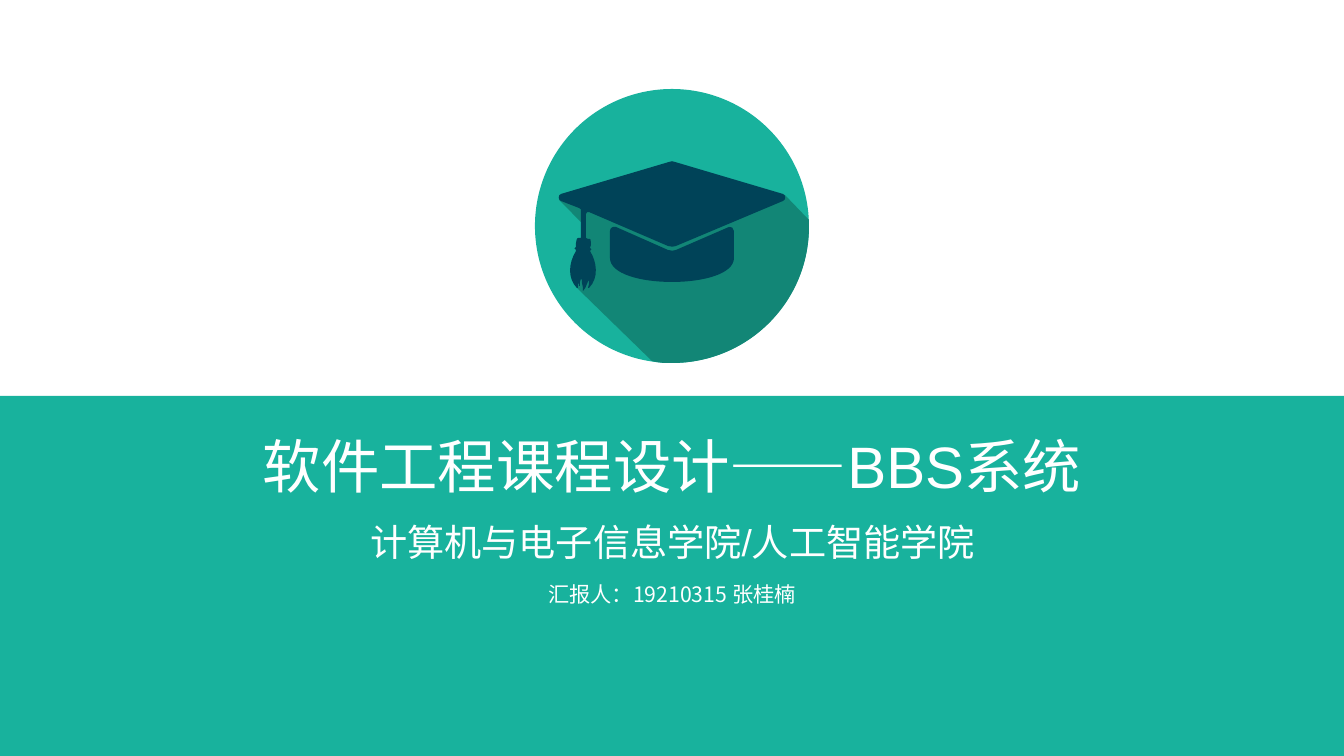
import pptx
import pptx.dml.color
import pptx.enum.shapes
import pptx.enum.text
import pptx.oxml.ns
import pptx.util
from lxml import etree

SCALE = 914400 / 95.6
TEAL, SHADE, NAVY, WHITE = "18B29D", "128676", "004358", "FFFFFF"
CJK_FONT = "Noto Sans CJK SC"

LONG_SHADOW = [
    (809, 227), (809, 302, 748, 363, 672, 363), (664, 363, 659, 363, 652, 361),
    (576, 287), (576, 280), (582, 257), (576, 250), (582, 247), (583, 224),
    (559, 200), (785, 195), (809, 220),
]
CAP_BASE = [
    (610, 231), (610, 258), (610, 290, 734, 290, 734, 258),
    (734, 231), (734, 228, 731, 226, 729, 227),
    (676, 250), (674, 251, 671, 251, 668, 250),
    (616, 227), (613, 226, 610, 228, 610, 231),
]
BOARD_AND_TASSEL = [
    (586, 214), (586, 238), (588, 239),
    (591, 238, 591, 241, 591, 243), (591, 244, 591, 247, 590, 248),
    (592, 249, 592, 250, 590, 251), (597, 262, 599, 278, 589, 288),
    (588, 288), (589, 284), (589, 279, 589, 279, 587, 284),
    (586, 287, 585, 289, 583, 291), (583, 288, 583, 286, 582, 283),
    (582, 278, 581, 277, 580, 282), (580, 286), (579, 286), (579, 283),
    (578, 284), (578, 288), (577, 288), (568, 279, 568, 264, 576, 251),
    (576, 250), (574, 249, 574, 248, 576, 247), (576, 243),
    (576, 241, 577, 237, 579, 238), (581, 238), (581, 211),
    (581, 210, 581, 208, 579, 208), (561, 201),
    (558, 200, 558, 195, 561, 194), (669, 162),
    (671, 161, 673, 161, 675, 162), (783, 194),
    (786, 195, 786, 200, 783, 201), (676, 246),
    (674, 247, 671, 247, 668, 246), (589, 212),
    (588, 211, 586, 213, 586, 214),
]


def px(length):
    return pptx.util.Emu(round(length * SCALE))


def color(hex_string):
    return pptx.dml.color.RGBColor.from_string(hex_string)


def paint(shape, fill):
    shape.shadow.inherit = False
    shape.fill.solid()
    shape.fill.fore_color.rgb = color(fill)
    shape.line.fill.background()


def add_preset(shapes, kind, left, top, width, height, fill):
    shape = shapes.add_shape(kind, px(left), px(top), px(width), px(height))
    paint(shape, fill)


def outline_points(segments):
    return [
        (px(segment[i]), px(segment[i + 1]))
        for segment in segments
        for i in range(0, len(segment), 2)
    ]


def bend_curves(shape, contours):
    lines = iter(list(shape._element.iter(pptx.oxml.ns.qn("a:lnTo"))))
    for contour in contours:
        for segment in contour[1:]:
            line = next(lines)
            if len(segment) == 2:
                continue
            curve = etree.Element(pptx.oxml.ns.qn("a:cubicBezTo"))
            line.addprevious(curve)
            for control in (line, next(lines), next(lines)):
                curve.append(control[0])
                control.getparent().remove(control)


def add_outline(shapes, contours, fill):
    first, *others = [outline_points(contour) for contour in contours]
    builder = shapes.build_freeform(*first[0])
    builder.add_line_segments(first[1:], close=True)
    for points in others:
        builder.move_to(*points[0])
        builder.add_line_segments(points[1:], close=True)
    shape = builder.convert_to_shape()
    bend_curves(shape, contours)
    paint(shape, fill)


def write_line(shape, box, text, size, font_name):
    shape.left, shape.top, shape.width, shape.height = map(px, box)
    frame = shape.text_frame
    frame.word_wrap = True
    frame.auto_size = pptx.enum.text.MSO_AUTO_SIZE.NONE
    frame.vertical_anchor = pptx.enum.text.MSO_ANCHOR.MIDDLE
    frame.margin_left = frame.margin_right = 0
    frame.margin_top = frame.margin_bottom = 0
    paragraph = frame.paragraphs[0]
    paragraph.alignment = pptx.enum.text.PP_ALIGN.CENTER
    paragraph.space_before = pptx.util.Pt(0)
    run = paragraph.add_run()
    run.text = text
    run.font.size = pptx.util.Pt(size)
    run.font.name = font_name
    run.font.color.rgb = color(WHITE)
    east_asian = etree.SubElement(run.font._element, pptx.oxml.ns.qn("a:ea"))
    east_asian.set("typeface", CJK_FONT)


def add_graduation_badge(slide):
    badge = slide.shapes.add_group_shape().shapes
    add_preset(badge, pptx.enum.shapes.MSO_SHAPE.OVAL, 535, 89, 274, 274, TEAL)
    add_outline(badge, [LONG_SHADOW], SHADE)
    add_outline(badge, [CAP_BASE, BOARD_AND_TASSEL], NAVY)


def main():
    presentation = pptx.Presentation()
    presentation.slide_width, presentation.slide_height = px(1344), px(756)
    slide = presentation.slides.add_slide(presentation.slide_layouts[0])
    title, subtitle = slide.placeholders
    add_preset(slide.shapes, pptx.enum.shapes.MSO_SHAPE.RECTANGLE,
               0, 396, 1344, 360, TEAL)
    add_graduation_badge(slide)
    presenter = slide.shapes.add_textbox(0, 0, 0, 0)
    write_line(presenter, (388, 581, 568, 26),
               "汇报人：19210315 张桂楠", 16, CJK_FONT)
    write_line(title, (204, 430, 936, 71),
               "软件工程课程设计——BBS系统", 44, "Arial")
    write_line(subtitle, (168, 519, 1009, 45),
               "计算机与电子信息学院/人工智能学院", 28, "Arial")
    for placeholder in (title, subtitle):
        slide.shapes._spTree.append(placeholder._element)
    presentation.save("out.pptx")


if __name__ == "__main__":
    main()
